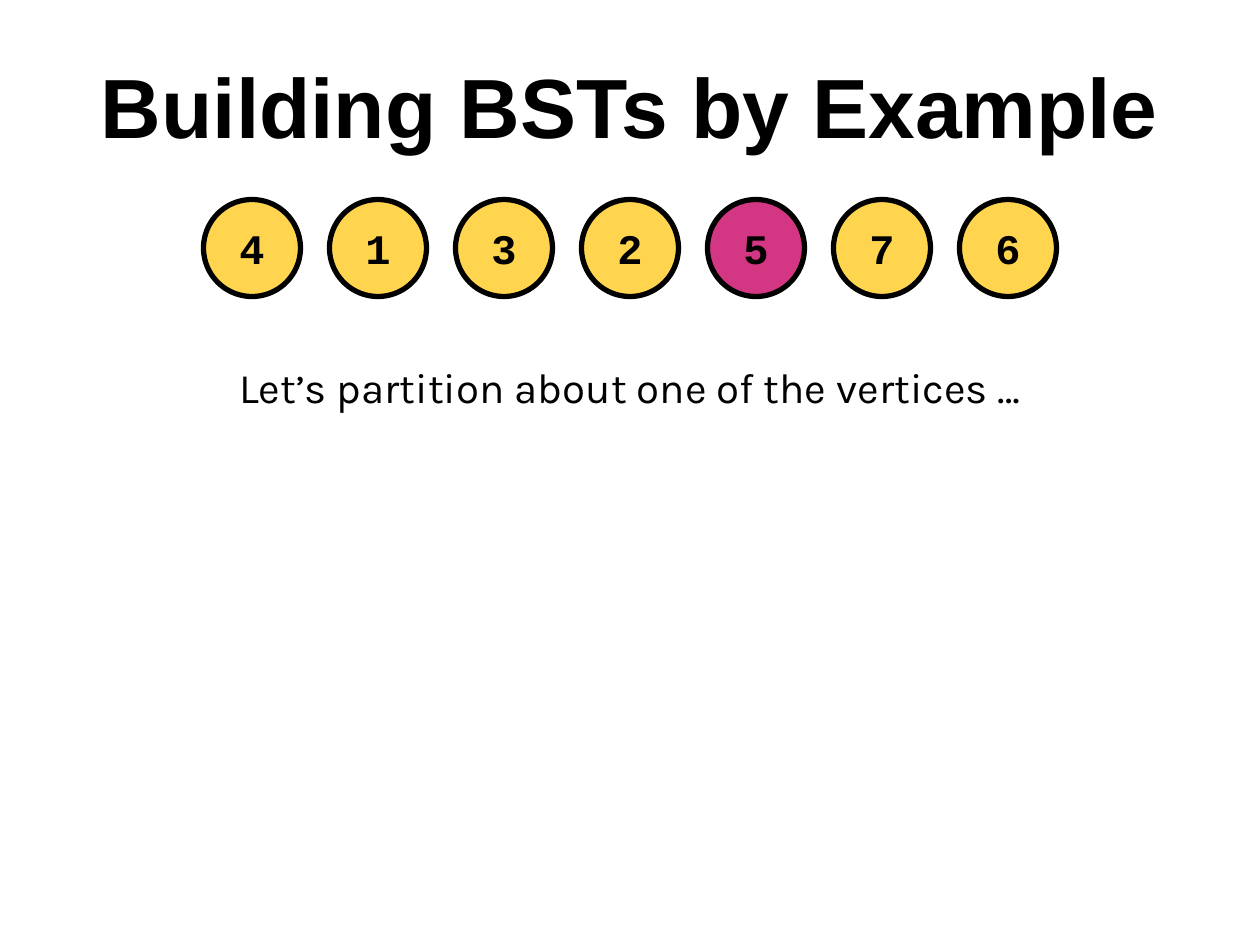
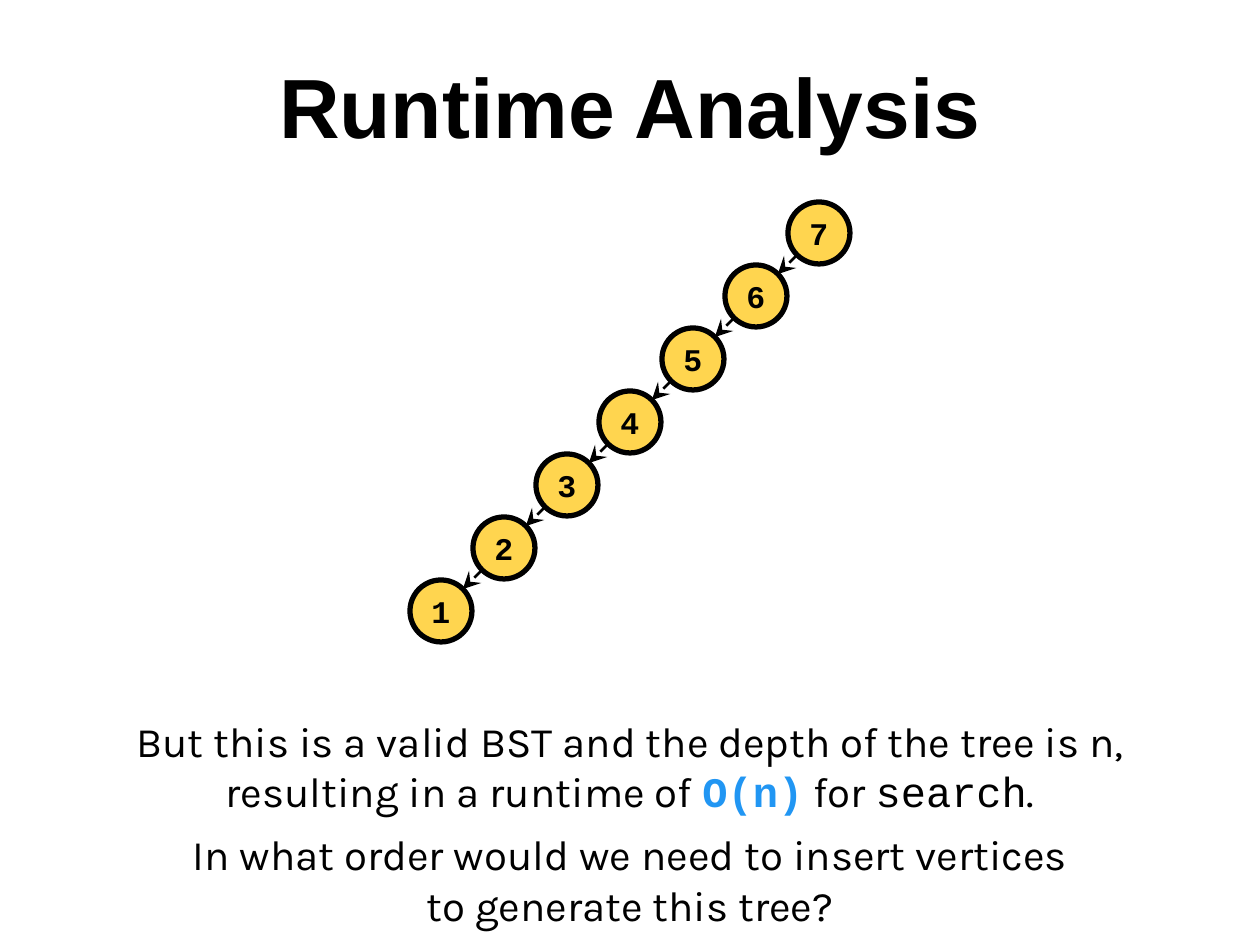
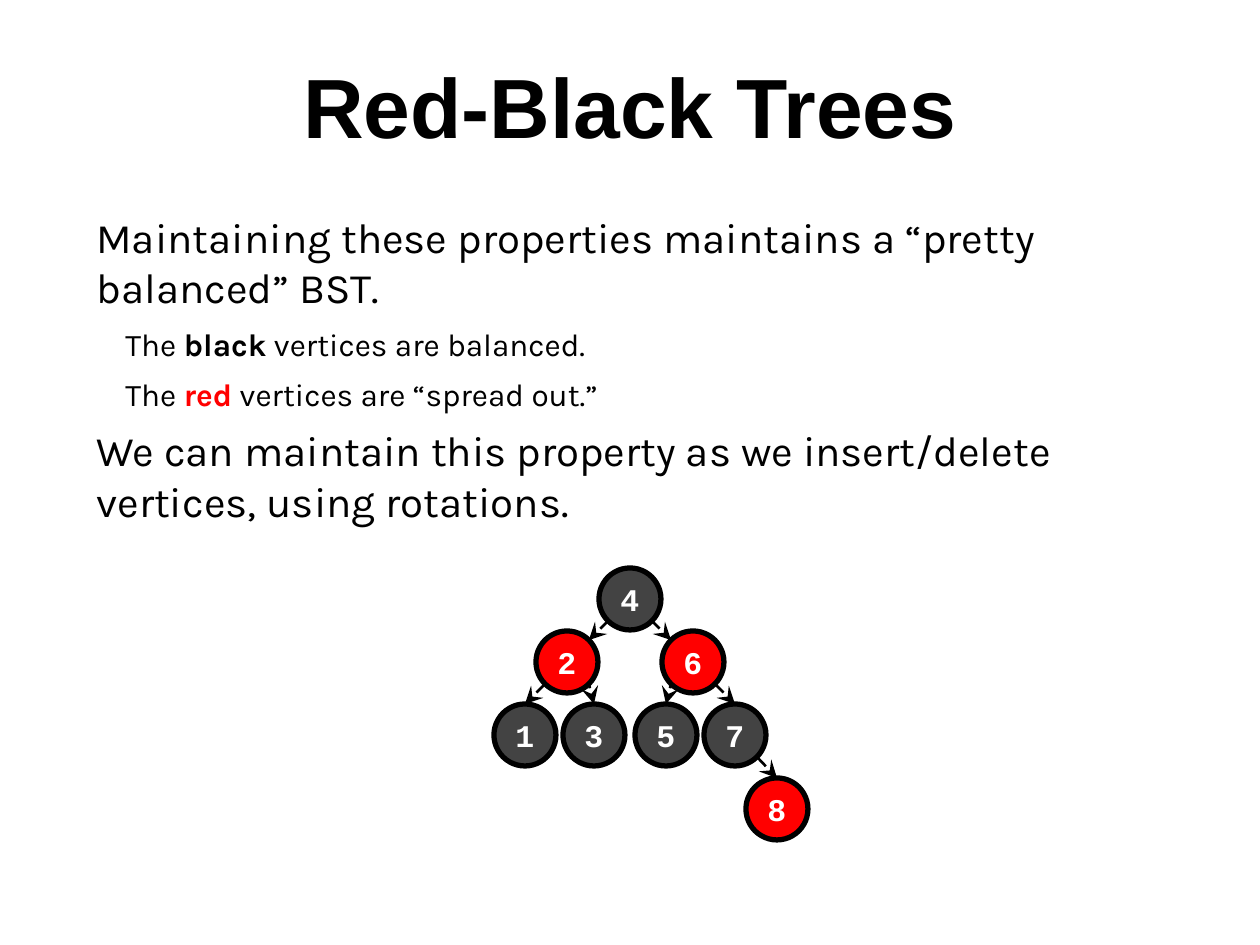
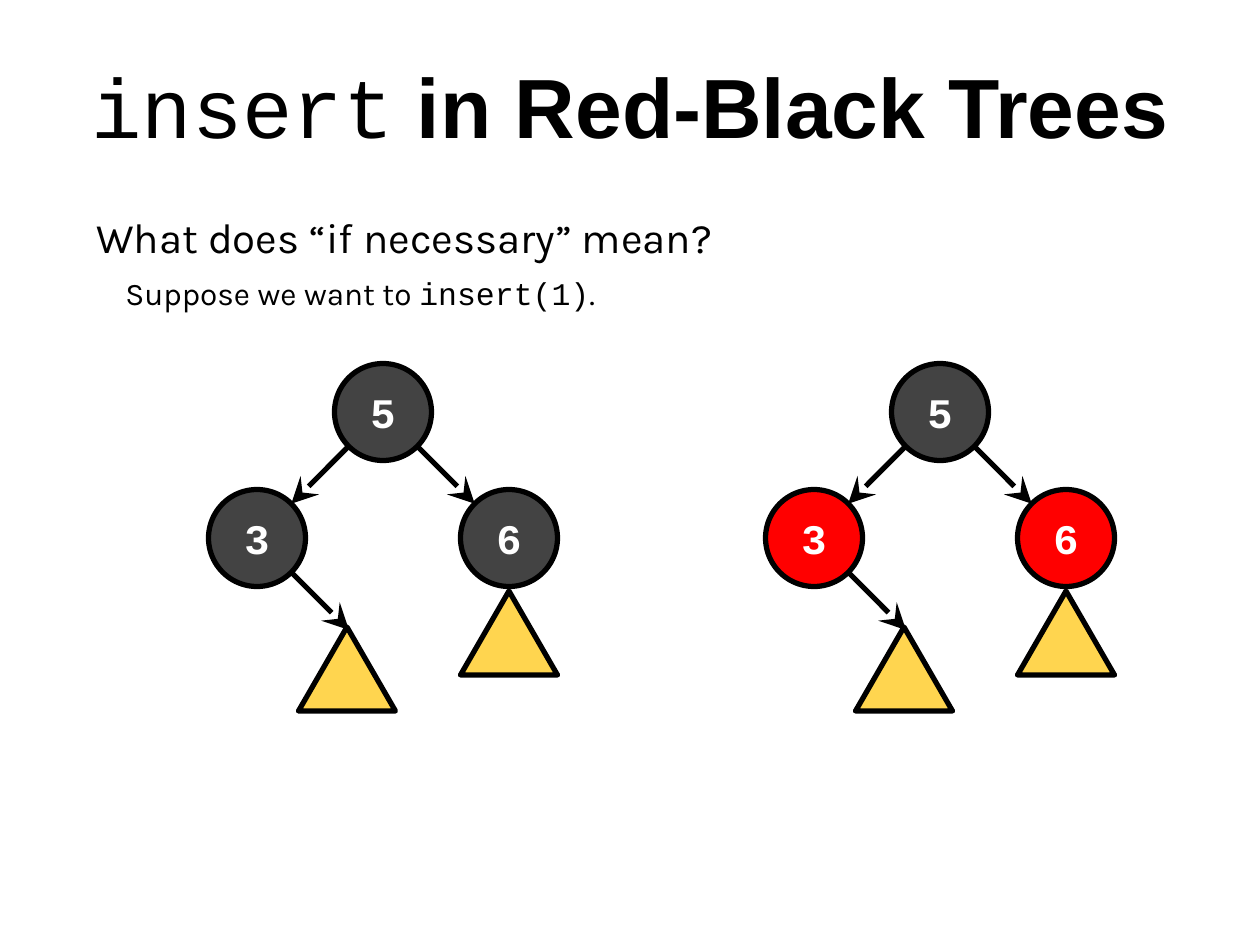
from math import sqrt

from lxml import etree
from pptx import Presentation
from pptx import util as u
from pptx.dml.color import RGBColor
from pptx.enum import shapes, text
from pptx.oxml.ns import qn

PX = u.Inches(1) / 126
COLORS = {"ink": "000000", "white": "FFFFFF", "yellow": "FFD54F", "pink": "D33682",
          "dark": "434343", "red": "FF0000", "blue": "2196F3"}
SANS, MONO, TITLE = "Karla", "Courier New", "Arial"
BIG = {"diameter": 97, "size": 24, "arrow": 3}
SMALL = {"diameter": 62, "size": 18, "arrow": 1.5}
TRIANGLE_HEIGHT = 84
INDENT = 29
PAGE_WIDTH, PAGE_HEIGHT = 1260, 945

# Content: a run is a string or (string, format); a body paragraph is
# (level, points before, runs)
TITLES = {
    "example": ["Building BSTs by Example"],
    "runtime": ["Runtime Analysis"],
    "red_black": ["Red-Black Trees"],
    "insert": [("insert", {"font": MONO, "bold": False}), " in Red-Black Trees"],
}
BODIES = {
    "example": [(0, 0, ["Let’s partition about one of the vertices …"])],
    "runtime": [
        (0, 0, ["But this is a valid BST and the depth of the tree is n, resulting in a runtime of ",
                ("O(n)", {"font": MONO, "color": "blue", "bold": True}),
                " for ", ("search", {"font": MONO}), "."]),
        (0, 7, ["In what order would we need to insert vertices"]),
        (0, 0, ["to generate this tree?"]),
    ],
    "red_black": [
        (0, 0, ["Maintaining these properties maintains a “pretty balanced” BST."]),
        (1, 7, ["The ", ("black", {"bold": True}), " vertices are balanced."]),
        (1, 7, ["The ", ("red", {"color": "red", "bold": True}),
                " vertices are “spread out.”"]),
        (0, 7, ["We can maintain this property as we insert/delete vertices, using rotations."]),
    ],
    "insert": [
        (0, 0, ["What does “if necessary” mean?"]),
        (1, 7, ["Suppose we want to ", ("insert(1)", {"font": MONO}), "."]),
    ],
}

# Nodes: label -> (centre x, centre y, fill); edges: (parent, child, end site)
INPUT_ORDER, PIVOT = "4132576", "5"
ROW = {label: (252 + 126 * i, 248, "pink" if label == PIVOT else "yellow")
       for i, label in enumerate(INPUT_ORDER)}
CHAIN = {label: (819 - 63 * i, 233 + 63 * i, "yellow") for i, label in enumerate("7654321")}
CHAIN_EDGES = [(parent, child, "corner") for parent, child in zip("765432", "654321")]
RED_BLACK = {
    "4": (630, 599, "dark"), "2": (567, 662, "red"), "6": (693, 662, "red"),
    "1": (525, 735, "dark"), "3": (594, 735, "dark"), "5": (666, 735, "dark"),
    "7": (735, 735, "dark"), "8": (777, 809, "red"),
}
RED_BLACK_EDGES = [("4", "2", "corner"), ("4", "6", "corner"), ("2", "1", "top"),
                   ("2", "3", "top"), ("6", "5", "top"), ("6", "7", "top"), ("7", "8", "top")]
INSERT_TREES = [(383, "dark"), (940, "red")]  # root centre, colour of its children


def rgb(name):
    return RGBColor.from_string(COLORS[name])


def px(*lengths):
    return [round(length * PX) for length in lengths]


def write(paragraph, runs, font=SANS, size=24, color="ink", bold=False, center=False,
          before=0, indent=0):
    paragraph.alignment = text.PP_ALIGN.CENTER if center else text.PP_ALIGN.LEFT
    if before:
        paragraph.space_before = u.Pt(before)
    if indent:
        paragraph._p.get_or_add_pPr().set("marL", str(px(indent)[0]))
    for item in runs:
        words, changes = (item, {}) if isinstance(item, str) else item
        look = {"font": font, "color": color, "bold": bold, **changes}
        run = paragraph.add_run()
        run.text = words
        run.font.name = look["font"]
        run.font.size = u.Pt(size)
        run.font.bold = look["bold"]
        run.font.color.rgb = rgb(look["color"])


def prepare_frame(shape, anchor=text.MSO_ANCHOR.TOP):
    frame = shape.text_frame
    frame.word_wrap = True
    frame.vertical_anchor = anchor
    frame.margin_left = frame.margin_right = u.Inches(0.1)
    frame.margin_top = frame.margin_bottom = u.Inches(0.1)
    return frame


def add_page(presentation, key, center=False, body_top=199):
    slide = presentation.slides.add_slide(presentation.slide_layouts[6])
    title = prepare_frame(slide.shapes.add_textbox(*px(0, 42, PAGE_WIDTH, 158)))
    write(title.paragraphs[0], TITLES[key], font=TITLE, size=48, bold=True, center=True)
    box = px(84, body_top, 1092, PAGE_HEIGHT - body_top)
    body = prepare_frame(slide.shapes.add_textbox(*box))
    for i, (level, before, runs) in enumerate(BODIES[key]):
        paragraph = body.add_paragraph() if i else body.paragraphs[0]
        write(paragraph, runs, size=18 if level else 24, center=center,
              before=before, indent=level * INDENT)
    return slide


def add_outlined(slide, kind, box, fill):
    shape = slide.shapes.add_shape(kind, *px(*box))
    shape.shadow.inherit = False
    shape.fill.solid()
    shape.fill.fore_color.rgb = rgb(fill)
    shape.line.color.rgb = rgb("ink")
    shape.line.width = u.Pt(3)
    return shape


def add_nodes(slide, nodes, scale):
    side = scale["diameter"]
    for label, (x, y, fill) in nodes.items():
        circle = add_outlined(slide, shapes.MSO_SHAPE.OVAL,
                              (x - side / 2, y - side / 2, side, side), fill)
        frame = prepare_frame(circle, anchor=text.MSO_ANCHOR.MIDDLE)
        write(frame.paragraphs[0], [label], font=MONO, size=scale["size"], bold=True, center=True,
              color="ink" if fill in ("yellow", "pink") else "white")


def add_triangle(slide, x, top):
    side = BIG["diameter"]
    add_outlined(slide, shapes.MSO_SHAPE.ISOSCELES_TRIANGLE,
                 (x - side / 2, top, side, TRIANGLE_HEIGHT), "yellow")


def add_arrow(slide, start, end, width):
    arrow = slide.shapes.add_connector(shapes.MSO_CONNECTOR.STRAIGHT, *px(*start, *end))
    arrow.line.color.rgb = rgb("ink")
    arrow.line.width = u.Pt(width)
    etree.SubElement(arrow.line._get_or_add_ln(), qn("a:tailEnd"),
                     type="stealth", w="lg", len="lg")
    etree.SubElement(arrow._element.spPr, qn("a:effectLst"))


def add_edges(slide, nodes, edges, scale):
    radius = scale["diameter"] / 2
    corner = radius / sqrt(2)
    for parent, child, site in edges:
        (x1, y1, _), (x2, y2, _) = nodes[parent], nodes[child]
        toward = 1 if x2 > x1 else -1
        end = (x2, y2 - radius) if site == "top" else (x2 - toward * corner, y2 - corner)
        add_arrow(slide, (x1 + toward * corner, y1 + corner), end, scale["arrow"])


def add_insert_tree(slide, x, child_fill):
    nodes = {"5": (x, 412, "dark"), "3": (x - 126, 538, child_fill),
             "6": (x + 126, 538, child_fill)}
    add_nodes(slide, nodes, BIG)
    add_edges(slide, nodes, [("5", "3", "corner"), ("5", "6", "corner")], BIG)
    corner = BIG["diameter"] / 2 / sqrt(2)
    add_arrow(slide, (x - 126 + corner, 538 + corner), (x - 34, 630), BIG["arrow"])
    add_triangle(slide, x - 36, 627)
    add_triangle(slide, x + 126, 591)


def main():
    presentation = Presentation()
    presentation.slide_width, presentation.slide_height = px(PAGE_WIDTH, PAGE_HEIGHT)

    # Partitioning a row of values
    slide = add_page(presentation, "example", center=True, body_top=349)
    add_nodes(slide, ROW, BIG)

    # Degenerate tree
    slide = add_page(presentation, "runtime", center=True, body_top=703)
    add_nodes(slide, CHAIN, SMALL)
    add_edges(slide, CHAIN, CHAIN_EDGES, SMALL)

    # Red-black tree
    slide = add_page(presentation, "red_black")
    add_nodes(slide, RED_BLACK, SMALL)
    add_edges(slide, RED_BLACK, RED_BLACK_EDGES, SMALL)

    # Two cases of insertion
    slide = add_page(presentation, "insert")
    for x, child_fill in INSERT_TREES:
        add_insert_tree(slide, x, child_fill)

    presentation.save("out.pptx")


if __name__ == "__main__":
    main()
